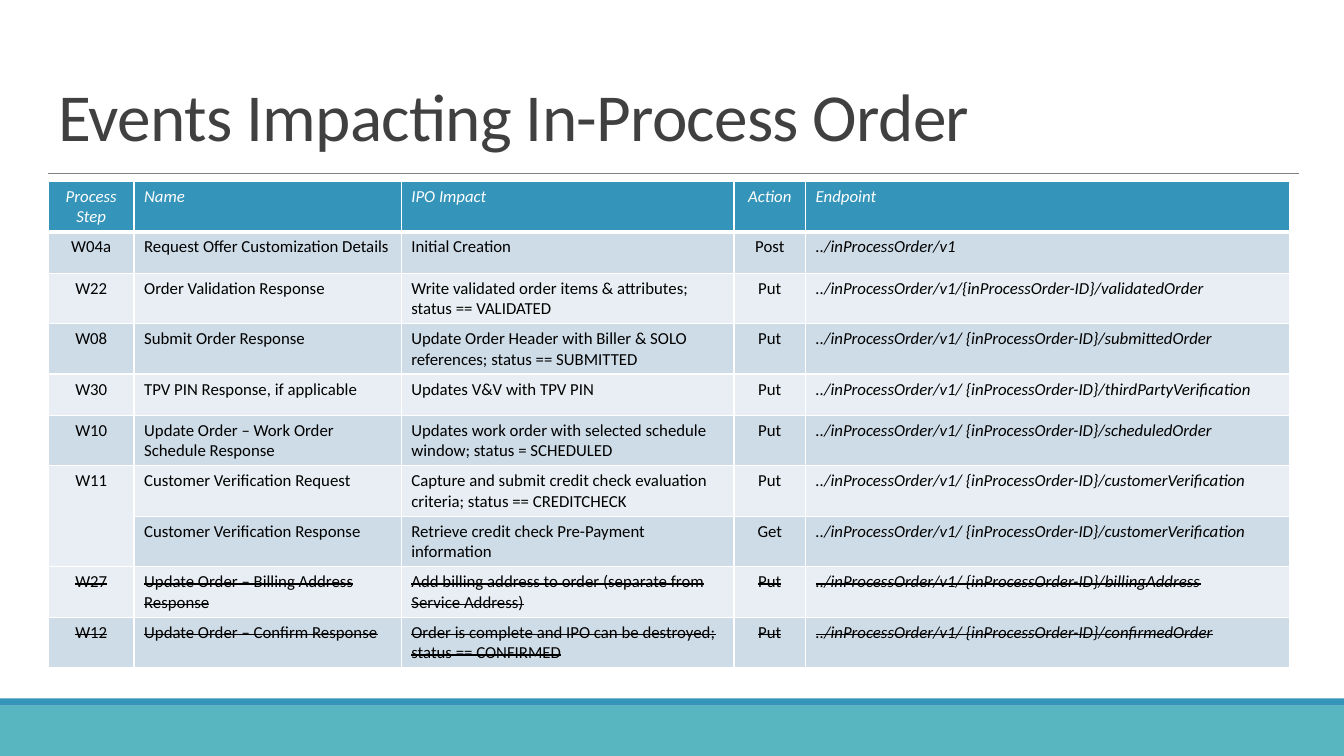
from pptx import Presentation
from pptx.dml.color import RGBColor as RGB
from pptx.enum.shapes import MSO_CONNECTOR as LINE, MSO_SHAPE as SHAPE
from pptx.enum.text import MSO_ANCHOR as ANCHOR, PP_ALIGN as ALIGN
from pptx.oxml.ns import qn
from pptx.util import Inches, Pt
from lxml.etree import SubElement as Sub

WHITE = RGB(0xFF, 0xFF, 0xFF)
BLACK = RGB(0, 0, 0)
DARK = RGB(0x40, 0x40, 0x40)
GRAY = RGB(0x80, 0x80, 0x80)
BLUE = RGB(0x34, 0x94, 0xBA)
TEAL = RGB(0x58, 0xB6, 0xC0)
BANDS = RGB(0xCE, 0xDC, 0xE7), RGB(0xE8, 0xEE, 0xF3)
FONT = "Calibri"

TITLE = "Events Impacting In-Process Order"
HEAD = ("Process Step", "Name", "IPO Impact", "Action", "Endpoint")
BASE = "../inProcessOrder/v1"
ITEM = BASE + "/ {inProcessOrder-ID}/"
EVENTS = [
    ("W04a", "Request Offer Customization Details", "Initial Creation", "Post", BASE),
    ("W22", "Order Validation Response",
     "Write validated order items & attributes; status == VALIDATED",
     "Put", BASE + "/{inProcessOrder-ID}/validatedOrder"),
    ("W08", "Submit Order Response",
     "Update Order Header with Biller & SOLO references; status == SUBMITTED",
     "Put", ITEM + "submittedOrder"),
    ("W30", "TPV PIN Response, if applicable", "Updates V&V with TPV PIN",
     "Put", ITEM + "thirdPartyVerification"),
    ("W10", "Update Order – Work Order Schedule Response",
     "Updates work order with selected schedule window; status = SCHEDULED",
     "Put", ITEM + "scheduledOrder"),
    ("W11", "Customer Verification Request",
     "Capture and submit credit check evaluation criteria; status == CREDITCHECK",
     "Put", ITEM + "customerVerification"),
    ("", "Customer Verification Response",
     "Retrieve credit check Pre-Payment information",
     "Get", ITEM + "customerVerification"),
    ("W27", "Update Order – Billing Address Response",
     "Add billing address to order (separate from Service Address)",
     "Put", ITEM + "billingAddress"),
    ("W12", "Update Order – Confirm Response",
     "Order is complete and IPO can be destroyed; status == CONFIRMED",
     "Put", ITEM + "confirmedOrder"),
]
DROPPED = {"W27", "W12"}
SHORT = {"W04a", "W30"}
CENTER = {"Process Step", "Action"}
WIDTHS = (0.85, 2.65, 3.3, 0.71, 4.8)
LOW, TALL = 0.41, 0.5
LEFT, WIDE = 0.48, 13.33


def style(run, size, color):
    font = run.font
    font.name, font.size, font.bold = FONT, Pt(size), False
    font.color.rgb = color


def bar(top, high, color):
    box = slide.shapes.add_shape(SHAPE.RECTANGLE, 0, Inches(top), Inches(WIDE), Inches(high))
    box.shadow.inherit = False
    box.fill.solid()
    box.fill.fore_color.rgb = color
    box.line.fill.background()


def border(cell, foot):
    props = cell._tc.get_or_add_tcPr()
    for side, width in (("L", 1), ("R", 1), ("T", 1), ("B", foot)):
        line = Sub(props, qn("a:ln" + side), w=str(Pt(width)))
        Sub(Sub(line, qn("a:solidFill")), qn("a:srgbClr"), val=str(WHITE))


deck = Presentation()
deck.slide_width, deck.slide_height = Inches(WIDE), Inches(7.5)
slide = deck.slides.add_slide(deck.slide_layouts[6])

bar(7, 0.5, TEAL)
bar(6.93, 0.07, BLUE)

rule = slide.shapes.add_connector(
    LINE.STRAIGHT, Inches(LEFT), Inches(1.72), Inches(12.88), Inches(1.72))
rule.line.color.rgb = GRAY
rule.line.width = Pt(0.5)
Sub(rule._element.spPr, qn("a:effectLst"))

frame = slide.shapes.add_textbox(Inches(LEFT), 0, Inches(12.4), Inches(1.59)).text_frame
frame.word_wrap = True
frame.vertical_anchor = ANCHOR.BOTTOM
frame.text = TITLE
para = frame.paragraphs[0]
para.line_spacing = 0.85
style(para.runs[0], 48, DARK)
para.runs[0]._r.get_or_add_rPr().set("spc", "-50")

rows = [HEAD] + EVENTS
highs = [LOW if row[0] in SHORT else TALL for row in rows]
table = slide.shapes.add_table(
    len(rows), len(HEAD), Inches(LEFT), Inches(1.8),
    Inches(sum(WIDTHS)), Inches(sum(highs))).table
for col, width in zip(table.columns, WIDTHS):
    col.width = Inches(width)

for i, (row, high) in enumerate(zip(rows, highs)):
    table.rows[i].height = Inches(high)
    top = i == 0
    for j, text in enumerate(row):
        cell = table.cell(i, j)
        border(cell, 3 if top else 1)
        cell.fill.solid()
        cell.fill.fore_color.rgb = BLUE if top else BANDS[(i - 1) % 2]
        cell.text_frame.text = text
        para = cell.text_frame.paragraphs[0]
        if HEAD[j] in CENTER:
            para.alignment = ALIGN.CENTER
        for run in para.runs:
            style(run, 12, WHITE if top else BLACK)
            run.font.italic = top or HEAD[j] == "Endpoint"
            if row[0] in DROPPED:
                run._r.get_or_add_rPr().set("strike", "sngStrike")
    if not row[0]:
        table.cell(i - 1, 0).merge(table.cell(i, 0))

deck.save("out.pptx")
